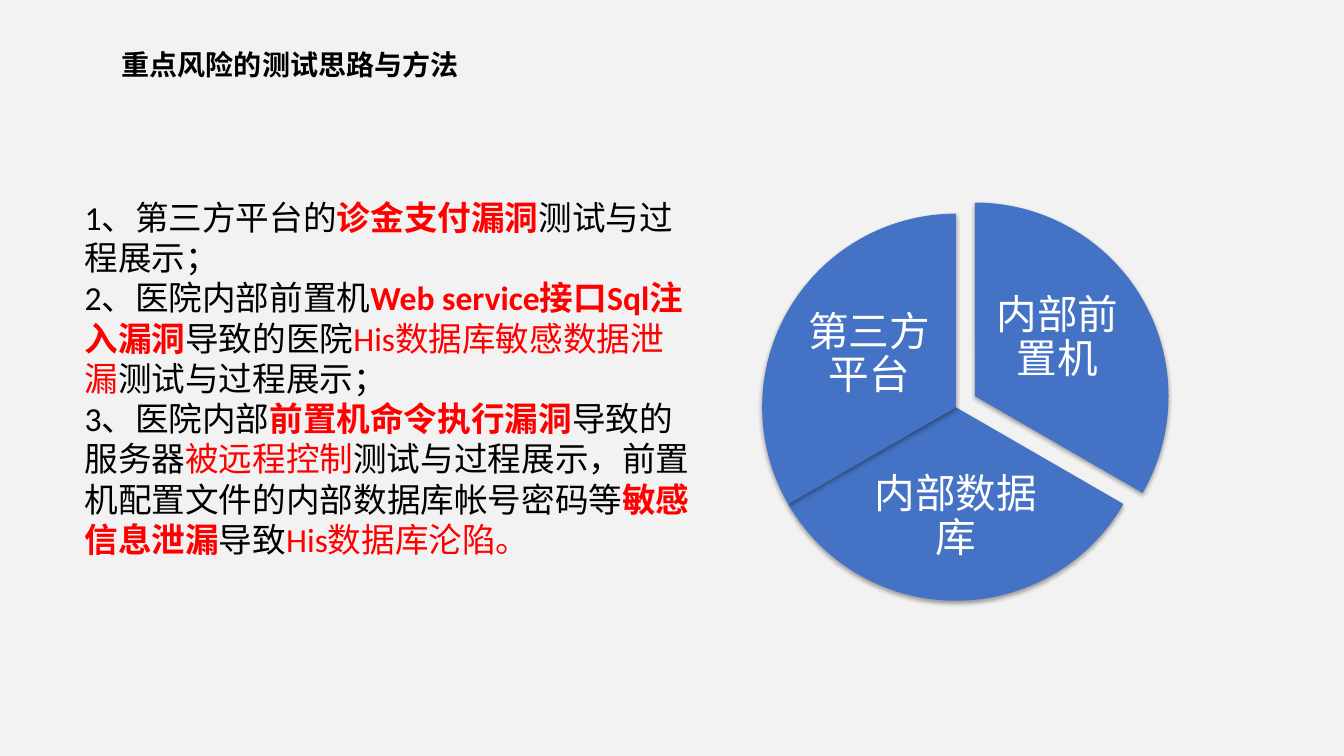
from lxml.etree import SubElement
from pptx import Presentation
from pptx.dml.color import RGBColor
from pptx.enum.shapes import MSO_SHAPE
from pptx.enum.text import MSO_ANCHOR, MSO_AUTO_SIZE, PP_ALIGN
from pptx.oxml import parse_xml
from pptx.oxml.ns import nsdecls, qn
from pptx.util import Inches, Pt

BLACK = RGBColor(0x00, 0x00, 0x00)
RED = RGBColor(0xFF, 0x00, 0x00)
WHITE = RGBColor(0xFF, 0xFF, 0xFF)
BLUE = RGBColor(0x44, 0x72, 0xC4)
GRAY = RGBColor(0xF2, 0xF2, 0xF2)
CJK = "Noto Sans CJK SC"

PLAIN = {"color": BLACK, "bold": False}
ALERT = {"color": RED, "bold": False}
STRONG = {"color": RED, "bold": True}

SHADOW = (
    f'<a:effectLst {nsdecls("a")}><a:outerShdw blurRad="40000" dist="23000" '
    'dir="5400000" rotWithShape="0"><a:srgbClr val="000000">'
    '<a:alpha val="35000"/></a:srgbClr></a:outerShdw></a:effectLst>'
)


def add_box(shapes, left, top, width, height, **frame):
    sp = shapes.add_textbox(Inches(left), Inches(top), Inches(width), Inches(height))
    tf = sp.text_frame
    for name, value in frame.items():
        setattr(tf, name, value)
    return tf


def add_run(p, text, font, size, color, bold=False):
    r = p.add_run()
    r.text = text
    for name, value in {"name": font, "size": Pt(size), "bold": bold}.items():
        setattr(r.font, name, value)
    r.font.color.rgb = color
    SubElement(r.font._element, qn("a:ea")).set("typeface", CJK)


prs = Presentation()
prs.slide_width, prs.slide_height = Inches(13.33), Inches(7.5)
s = prs.slides.add_slide(prs.slide_layouts[6])
s.background.fill.solid()
s.background.fill.fore_color.rgb = GRAY

tf = add_box(s.shapes, 1.11, 0.42, 3.57, 0.44,
             word_wrap=False, auto_size=MSO_AUTO_SIZE.SHAPE_TO_FIT_TEXT)
add_run(tf.paragraphs[0], "重点风险的测试思路与方法", CJK, 20, BLACK, True)

slices = [
    ("内部前置机", (7.75, 2.01), (162, 18), (9.84, 2.72, 1.3, 1.28)),
    ("内部数据库", (7.56, 2.12), (18, 90), (8.61, 4.54, 1.74, 1.19)),
    ("第三方平台", (7.56, 2.12), (90, 162), (7.97, 2.88, 1.3, 1.28)),
]
pie = s.shapes.add_group_shape()
inset = Inches(0.04)
for label, (left, top), angles, label_box in slices:
    sp = pie.shapes.add_shape(MSO_SHAPE.PIE, Inches(left), Inches(top),
                              Inches(3.84), Inches(3.84))
    for i, angle in enumerate(angles):
        sp.adjustments[i] = angle
    sp.fill.solid()
    sp.fill.fore_color.rgb = BLUE
    sp.line.fill.background()
    sp._element.spPr.append(parse_xml(SHADOW))

    tf = add_box(pie.shapes, *label_box, word_wrap=True,
                 vertical_anchor=MSO_ANCHOR.MIDDLE, margin_left=inset,
                 margin_top=inset, margin_right=inset, margin_bottom=inset)
    p = tf.paragraphs[0]
    p.alignment = PP_ALIGN.CENTER
    p.line_spacing = 0.9
    add_run(p, label, "Arial", 29, WHITE)

risks = [
    [("1、第三方平台的", PLAIN), ("诊金支付漏洞", STRONG), ("测试与过程展示；", PLAIN)],
    [("2、医院内部前置机", PLAIN), ("Web service接口Sql注入漏洞", STRONG),
     ("导致的医院", PLAIN), ("His数据库敏感数据泄漏", ALERT), ("测试与过程展示；", PLAIN)],
    [("3、医院内部", PLAIN), ("前置机命令执行漏洞", STRONG), ("导致的服务器", PLAIN),
     ("被远程控制", ALERT),
     ("测试与过程展示，前置机配置文件的内部数据库帐号密码等", PLAIN),
     ("敏感信息泄漏", STRONG), ("导致", PLAIN), ("His数据库沦陷。", ALERT)],
]
tf = add_box(s.shapes, 0.74, 1.9, 6.24, 3.74,
             word_wrap=True, auto_size=MSO_AUTO_SIZE.SHAPE_TO_FIT_TEXT)
for i, risk in enumerate(risks):
    p = tf.add_paragraph() if i else tf.paragraphs[0]
    for text, style in risk:
        add_run(p, text, "Calibri", 24, **style)

prs.save("out.pptx")
